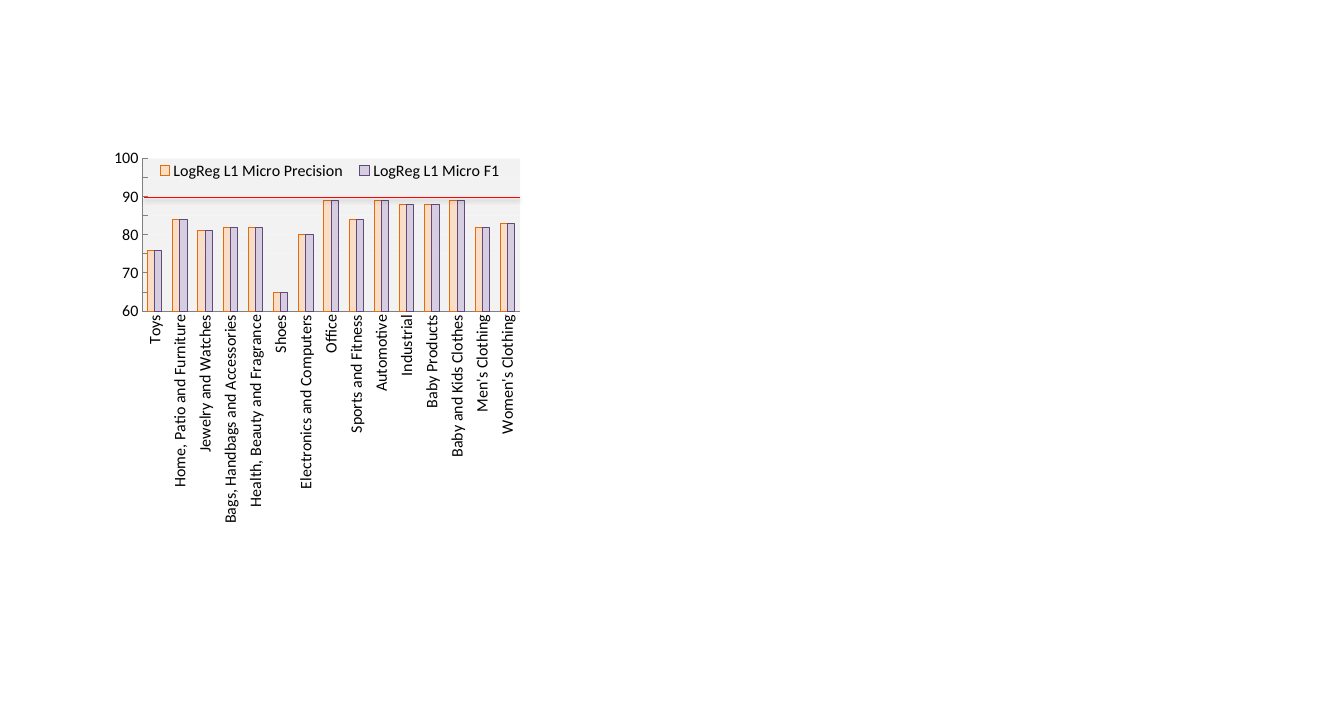
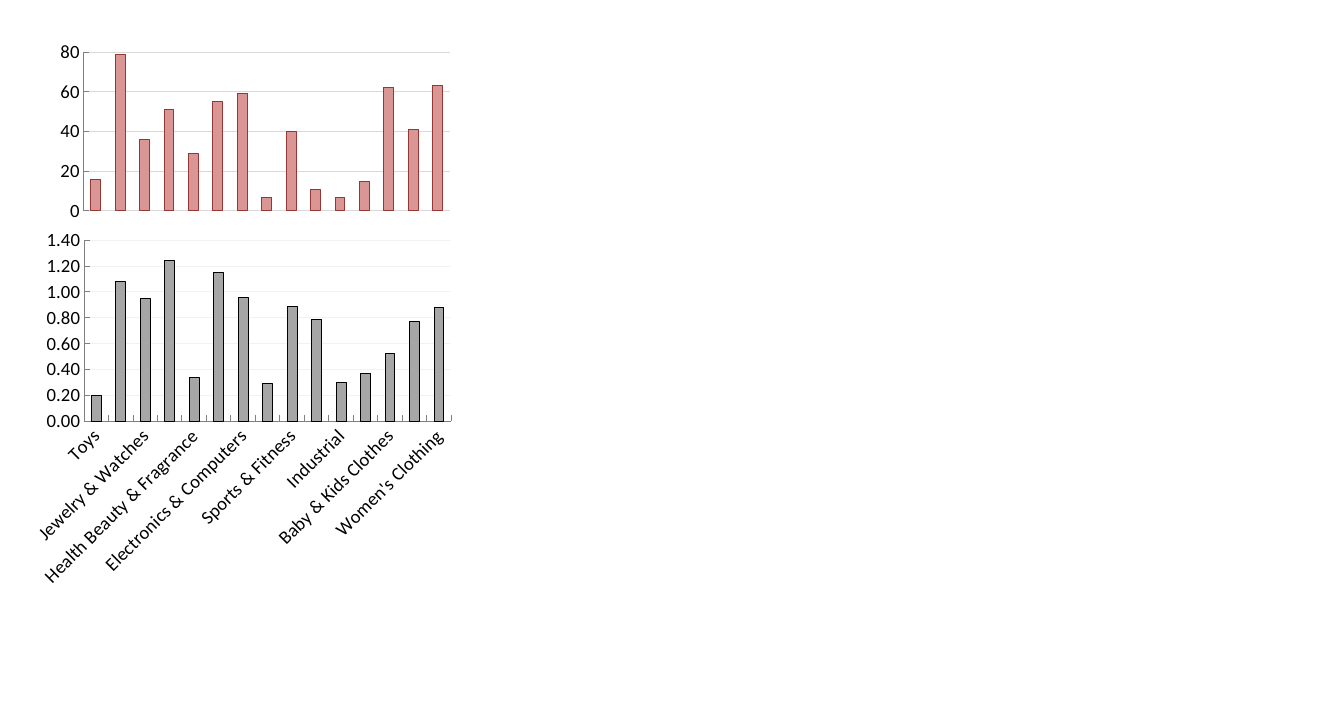
from lxml.etree import SubElement as Sub
from pptx import Presentation
from pptx.chart.data import CategoryChartData as Data
from pptx.dml.color import RGBColor
from pptx.enum.chart import XL_CHART_TYPE as Kind, XL_LEGEND_POSITION as Side, XL_TICK_MARK as Tick
from pptx.enum.dml import MSO_LINE as Dash
from pptx.enum.shapes import MSO_CONNECTOR as Link
from pptx.oxml.ns import qn
from pptx.util import Inches, Pt

FONT = "Calibri"
AXIS = "808080"

RATED = ["Toys", "Home, Patio and Furniture", "Jewelry and Watches",
         "Bags, Handbags and Accessories", "Health, Beauty and Fragrance",
         "Shoes", "Electronics and Computers", "Office", "Sports and Fitness",
         "Automotive", "Industrial", "Baby Products",
         "Baby and Kids Clothes", "Men's Clothing", "Women's Clothing"]
NAMED = ["Toys", "Home Furniture & Patio", "Jewelry & Watches",
         "Bag Handbags & Accessories", "Health Beauty & Fragrance",
         "Shoes", "Electronics & Computers", "Office", "Sports & Fitness",
         "Automotive", "Industrial", "Baby Products",
         "Baby & Kids Clothes", "Men's Clothing", "Women's Clothing"]
SCORES = [76, 84, 81, 82, 82, 65, 80, 89, 84, 89, 88, 88, 89, 82, 83]
COUNTS = [16, 79, 36, 51, 29, 55, 59, 7, 40, 11, 7, 15, 62, 41, 63]
RATIOS = [0.2, 1.08, 0.95, 1.24, 0.34, 1.15, 0.96, 0.29,
          0.89, 0.79, 0.3, 0.37, 0.52, 0.77, 0.88]


def rgb(code):
    """Turn a hex string into a colour."""
    return RGBColor.from_string(code)


def stroke(line, code, width=0.75):
    """Set the colour and width of a line."""
    line.color.rgb = rgb(code)
    line.width = Pt(width)


def fade(color, share):
    """Give a colour element an opacity in percent."""
    Sub(color, qn("a:alpha"), val=str(share * 1000))


def place(host, index, box, inner=False):
    """Fix the layout of a chart part as shares of the chart."""
    for old in host.findall(qn("c:layout")):
        host.remove(old)
    layout = Sub(host, qn("c:layout"))
    host.insert(index, layout)
    manual = Sub(layout, qn("c:manualLayout"))
    if inner:
        Sub(manual, qn("c:layoutTarget"), val="inner")
    for key in "xy":
        Sub(manual, qn(f"c:{key}Mode"), val="edge")
    for key, share in zip("xywh", box):
        Sub(manual, qn(f"c:{key}"), val=str(share))


def columns(slide, box, cats, series, plot, size, scale, grid):
    """Draw a column chart with its series, axes and grid."""
    data = Data()
    data.categories = cats
    for name, vals, *_ in series:
        data.add_series(name, vals)
    frame = slide.shapes.add_chart(
        Kind.COLUMN_CLUSTERED, *map(Inches, box), data)
    chart = frame.chart
    chart.has_title = chart.has_legend = False
    chart.font.name, chart.font.size = FONT, Pt(10)
    chart.font.color.rgb = rgb("000000")
    bars = chart.plots[0]
    bars.gap_width, bars.overlap, bars.vary_by_categories = 150, 0, False
    for item, (_, _, fill, edge) in zip(bars.series, series):
        item.format.fill.solid()
        item.format.fill.fore_color.rgb = rgb(fill)
        stroke(item.format.line, edge)
    for axis in (chart.category_axis, chart.value_axis):
        axis.major_tick_mark, axis.minor_tick_mark = Tick.INSIDE, Tick.NONE
        font = axis.tick_labels.font
        font.name, font.size = FONT, Pt(size)
        font.color.rgb = rgb("000000")
        stroke(axis.format.line, AXIS)
    axis.minimum_scale, axis.maximum_scale, axis.major_unit = scale
    axis.has_major_gridlines = True
    stroke(axis.major_gridlines.format.line, grid)
    place(chart.element.find(".//" + qn("c:plotArea")), 0, plot, True)
    return chart


def turn(chart, angle):
    """Rotate the category labels by an angle in degrees."""
    body = chart.element.find(f".//{qn('c:catAx')}//{qn('a:bodyPr')}")
    body.set("rot", str(angle * 60000))
    body.set("vert", "horz")


def key(chart, box):
    """Put the legend inside the plot."""
    chart.has_legend = True
    legend = chart.legend
    legend.position = Side.RIGHT
    legend.include_in_layout = False
    legend.font.name, legend.font.size = FONT, Pt(12)
    place(chart.element.find(".//" + qn("c:legend")), 1, box)


def limit(slide, left, top, width):
    """Draw the threshold line with its soft shadow."""
    line = slide.shapes.add_connector(
        Link.STRAIGHT, Inches(left), Inches(top),
        Inches(left + width), Inches(top))
    stroke(line.line, "FF0000", 0.5)
    effects = Sub(line.element.spPr, qn("a:effectLst"))
    shadow = Sub(effects, qn("a:outerShdw"), blurRad="40000",
                 dist="20000", dir="5400000", rotWithShape="0")
    fade(Sub(shadow, qn("a:srgbClr"), val="000000"), 38)


def scores(slide, box):
    """Build the precision and F1 chart with its threshold."""
    series = [("LogReg L1 Micro Precision", SCORES, "FCD5B5", "E46C0A"),
              ("LogReg L1 Micro F1", SCORES, "CCC1DA", "604A7B")]
    chart = columns(slide, box, RATED, series, (0.123, 0.127, 0.417, 0.32),
                    12, (60, 100, 5), "FFFFFF")
    chart.category_axis.major_tick_mark = Tick.NONE
    turn(chart, -90)
    key(chart, (0.13, 0.13, 0.4, 0.045))
    grid = chart.value_axis.major_gridlines.format.line
    grid.width, grid.dash_style = Pt(0.25), Dash.ROUND_DOT
    color = qn("a:srgbClr")
    fade(chart.element.find(f".//{qn('c:majorGridlines')}//{color}"), 80)
    path = f"{qn('c:spPr')}/{qn('a:solidFill')}/{color}"
    for item, share in zip(chart.element.iter(qn("c:ser")), (70, 72)):
        fade(item.find(path), share)
    area = Sub(chart.element.find(".//" + qn("c:plotArea")), qn("c:spPr"))
    Sub(Sub(area, qn("a:solidFill")), color, val="F2F2F2")
    left, top, *_ = box
    limit(slide, left + 1.18, top + 1.04, 3.92)


def counts(slide, box):
    """Build the upper chart, which has no category axis."""
    chart = columns(slide, box, [str(n) for n in range(1, 16)],
                    [("Series 1", COUNTS, "D99694", "953735")],
                    (0.168, 0.119, 0.737, 0.363), 14, (0, 80, 20), "D9D9D9")
    chart.category_axis.visible = False


def ratios(slide, box):
    """Build the lower chart with slanted category labels."""
    chart = columns(slide, box, NAMED,
                    [("Series 1", RATIOS, "A6A6A6", "000000")],
                    (0.17, 0.038, 0.743, 0.412), 14, (0, 1.4, 0.2), "F2F2F2")
    turn(chart, -45)
    labels = chart.value_axis.tick_labels
    labels.number_format, labels.number_format_is_linked = "0.00", False


def main():
    """Build both slides and save the deck."""
    deck = Presentation()
    deck.slide_width, deck.slide_height = Inches(14), Inches(7.5)
    blank = deck.slide_layouts[6]
    scores(deck.slides.add_slide(blank), (0.32, 1.02, 9.44, 4.97))
    pair = deck.slides.add_slide(blank)
    counts(pair, (0, 0, 5.18, 4.56))
    ratios(pair, (0, 2.33, 5.15, 4.57))
    deck.save("out.pptx")


if __name__ == "__main__":
    main()
